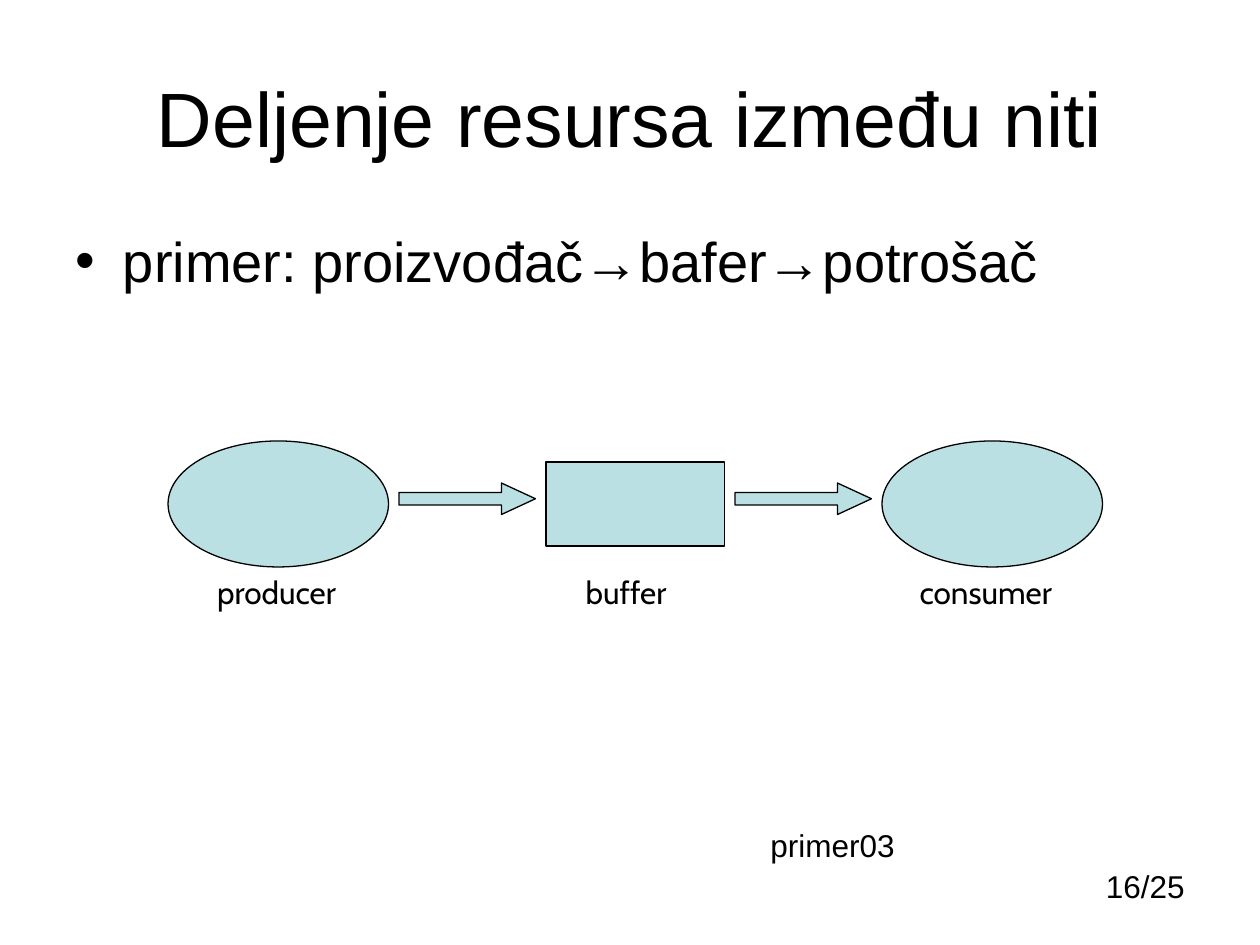
from pptx import Presentation
from pptx import util as u
from pptx.dml.color import RGBColor
from pptx.enum import shapes, text

BLACK = RGBColor(0x00, 0x00, 0x00)
PALE_TEAL = RGBColor(0xBB, 0xE0, 0xE3)
CELL = u.Inches(1) / 12
SHAPE = shapes.MSO_SHAPE
ALIGN = text.PP_ALIGN


def place(shape, box):
    shape.left, shape.top, shape.width, shape.height = (int(n * CELL) for n in box)


def within(box, column, row, columns, rows):
    return box[0] + column, box[1] + row, columns, rows


def write(shape, words, size, font="Arial", align=ALIGN.LEFT):
    shape.text_frame.text = words
    paragraph = shape.text_frame.paragraphs[0]
    paragraph.alignment = align
    paragraph.space_before = u.Pt(0)
    paragraph.font.size = u.Pt(size)
    paragraph.font.name = font
    paragraph.font.color.rgb = BLACK


def add_label(slide, box, words, font="Arial", align=ALIGN.LEFT, wrap=True):
    label = slide.shapes.add_textbox(0, 0, 0, 0)
    place(label, box)
    label.text_frame.word_wrap = wrap
    write(label, words, 18, font, align)


def add_figure(slide, kind, box):
    figure = slide.shapes.add_shape(kind, 0, 0, 0, 0)
    place(figure, box)
    figure.shadow.inherit = False
    figure.fill.solid()
    figure.fill.fore_color.rgb = PALE_TEAL
    figure.line.color.rgb = BLACK
    figure.line.width = u.Pt(0.75)
    return figure


def fill_title(slide, box):
    title = slide.shapes.title
    place(title, box)
    write(title, "Deljenje resursa između niti", 44, align=ALIGN.CENTER)
    title.text_frame.auto_size = text.MSO_AUTO_SIZE.NONE
    title.text_frame.vertical_anchor = text.MSO_ANCHOR.MIDDLE


def fill_body(slide, box):
    body = slide.placeholders[1]
    place(body, box)
    write(body, "primer: proizvođač→bafer→potrošač", 32)
    body.text_frame.auto_size = text.MSO_AUTO_SIZE.NONE


def add_flow(slide, box):
    stages = [
        (SHAPE.OVAL, (0, 0, 21, 12), "producer", 3.5, 15.4),
        (SHAPE.RECTANGLE, (36, 2, 17, 8), "buffer", 38.6, 11),
        (SHAPE.OVAL, (68, 0, 21, 12), "consumer", 70.4, 16.6),
    ]
    for kind, cells, words, column, columns in stages:
        add_figure(slide, kind, within(box, *cells))
        add_label(slide, within(box, column, 12, columns, 4.8), words, "Cabin", wrap=False)
    for column in (22, 54):
        arrow = add_figure(slide, SHAPE.RIGHT_ARROW, within(box, column, 4, 13, 3))
        arrow.adjustments[0] = 0.4
        arrow.adjustments[1] = 1.08


def add_footer(slide, box):
    add_label(slide, within(box, 0, 0, 22.7, 4.8), "primer03")
    add_label(slide, within(box, 14.2, 3.9, 27.6, 4.8), "16/25", align=ALIGN.RIGHT)


def main():
    presentation = Presentation()
    presentation.slide_width, presentation.slide_height = u.Inches(10), u.Inches(7.5)
    slide = presentation.slides.add_slide(presentation.slide_layouts[1])
    fill_title(slide, (6, 3.6, 108, 15))
    fill_body(slide, (6, 21, 108, 59.4))
    add_flow(slide, (16, 42, 89, 16.8))
    add_footer(slide, (72.2, 78.1, 41.8, 8.7))
    presentation.save("out.pptx")


if __name__ == "__main__":
    main()
